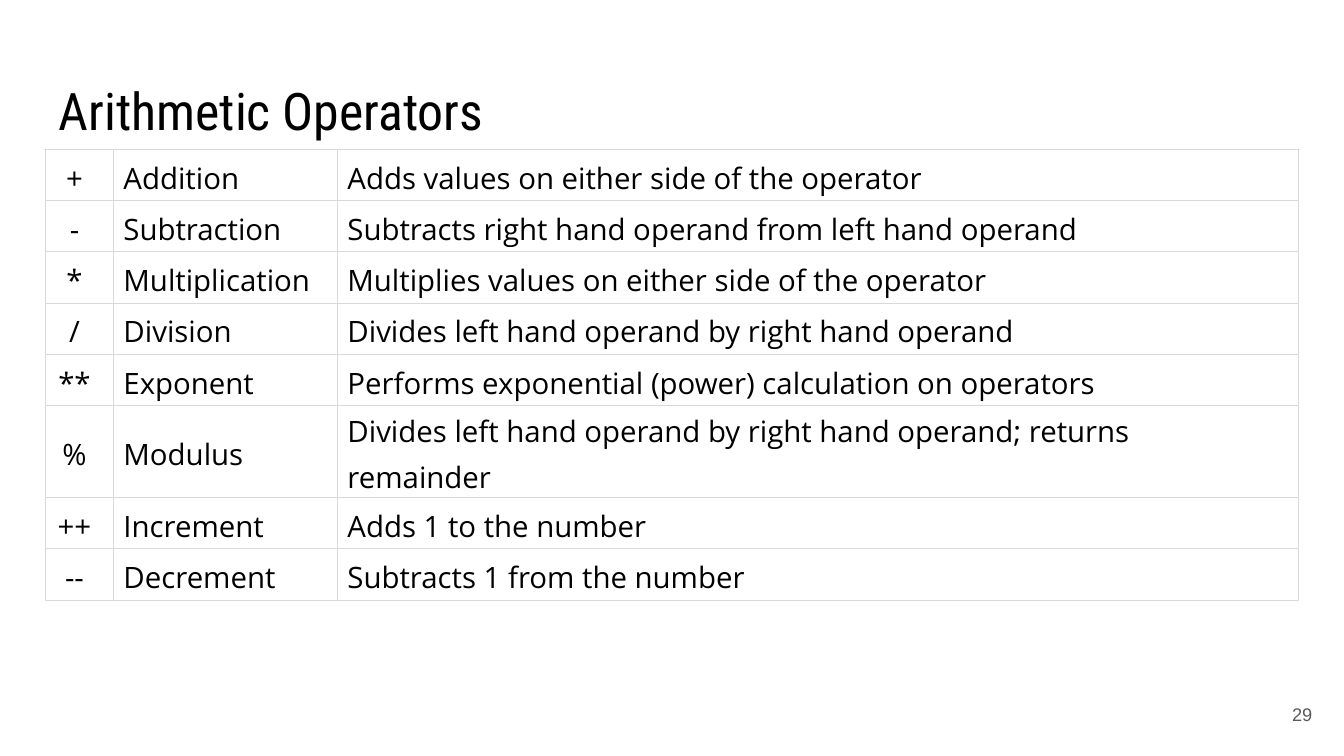
from dataclasses import dataclass
from lxml.etree import SubElement
from pptx import Presentation
from pptx.dml.color import RGBColor as RGB
from pptx.enum.text import MSO_ANCHOR as ANCHOR, PP_ALIGN as ALIGN
from pptx.oxml.ns import qn
from pptx.util import Pt

COLORS = {"text": "000000", "number": "595959", "border": "D9D9D9"}
FORMATS = {
    "title": {"name": "Roboto Condensed", "size": Pt(37)},
    "number": {"name": "Arial", "size": Pt(13)},
    "cell": {"name": "Open Sans", "size": Pt(21)},
}
CELL_LAYOUT = {
    "margin_left": Pt(7.2), "margin_right": Pt(14.4),
    "margin_top": Pt(0), "margin_bottom": Pt(0),
    "vertical_anchor": ANCHOR.MIDDLE,
}
CELL_SPACING = {"line_spacing": 1.15, "space_before": Pt(12)}
COLUMN_WIDTHS = (48.4, 160, 686.4)
ROW_HEIGHT, TALL_ROW_HEIGHT = 36.6, 65.8


@dataclass
class Operator:
    """One row of the operator table."""
    symbol: str
    name: str
    meaning: str
    height: float = ROW_HEIGHT


@dataclass
class Label:
    """A text box with its place in points."""
    text: str
    left: float
    top: float
    width: float
    height: float
    style: str
    color: str
    align: ALIGN
    anchor: ANCHOR


LABELS = [
    Label("Arithmetic Operators", 32.7, 46.8, 894, 60, "title", "text", ALIGN.LEFT, ANCHOR.TOP),
    Label("29", 889.2, 489.6, 57.6, 41, "number", "number", ALIGN.RIGHT, ANCHOR.MIDDLE),
]
OPERATORS = [
    Operator("+", "Addition", "Adds values on either side of the operator"),
    Operator("-", "Subtraction", "Subtracts right hand operand from left hand operand"),
    Operator("*", "Multiplication", "Multiplies values on either side of the operator"),
    Operator("/", "Division", "Divides left hand operand by right hand operand"),
    Operator("**", "Exponent", "Performs exponential (power) calculation on operators"),
    Operator("%", "Modulus", "Divides left hand operand by right hand operand; returns remainder",
             TALL_ROW_HEIGHT),
    Operator("++", "Increment", "Adds 1 to the number"),
    Operator("--", "Decrement", "Subtracts 1 from the number"),
]


def apply(target, values: dict) -> None:
    """Set each named attribute on the target."""
    for key, value in values.items():
        setattr(target, key, value)


def write(p, text: str, style: str, color: str, align: ALIGN) -> None:
    """Fill a paragraph with one formatted run."""
    p.alignment = align
    r = p.add_run()
    r.text = text
    apply(r.font, FORMATS[style])
    r.font.color.rgb = RGB.from_string(COLORS[color])


def add_label(s, label: Label) -> None:
    """Draw a text box."""
    sp = s.shapes.add_textbox(Pt(label.left), Pt(label.top), Pt(label.width), Pt(label.height))
    tf = sp.text_frame
    apply(tf, {"word_wrap": True, "vertical_anchor": label.anchor})
    apply(tf, {f"margin_{side}": Pt(9.4) for side in ("left", "top", "right", "bottom")})
    write(tf.paragraphs[0], label.text, label.style, label.color, label.align)


def add_borders(cell) -> None:
    """Give a cell a thin line on all four sides."""
    tc_pr = cell._tc.get_or_add_tcPr()
    for side in ("lnL", "lnR", "lnT", "lnB"):
        ln = SubElement(tc_pr, qn(f"a:{side}"), w=str(Pt(0.75)))
        fill = SubElement(ln, qn("a:solidFill"))
        SubElement(fill, qn("a:srgbClr"), val=COLORS["border"])


def add_operator_table(s, operators: list[Operator], left: float, top: float) -> None:
    """Draw the table of operators."""
    width, height = sum(COLUMN_WIDTHS), sum(op.height for op in operators)
    table = s.shapes.add_table(len(operators), len(COLUMN_WIDTHS),
                               Pt(left), Pt(top), Pt(width), Pt(height)).table
    apply(table, {"first_row": False, "horz_banding": False})
    for column, column_width in zip(table.columns, COLUMN_WIDTHS):
        column.width = Pt(column_width)
    for row, op in zip(table.rows, operators):
        row.height = Pt(op.height)
        for i, (cell, text) in enumerate(zip(row.cells, (op.symbol, op.name, op.meaning))):
            apply(cell, CELL_LAYOUT)
            add_borders(cell)
            cell.fill.background()
            p = cell.text_frame.paragraphs[0]
            apply(p, CELL_SPACING)
            write(p, text, "cell", "text", ALIGN.LEFT if i else ALIGN.CENTER)


def main() -> None:
    """Build and save the slide."""
    prs = Presentation()
    apply(prs, {"slide_width": Pt(960), "slide_height": Pt(540)})
    s = prs.slides.add_slide(prs.slide_layouts[6])
    for label in LABELS:
        add_label(s, label)
    add_operator_table(s, OPERATORS, 32.6, 106.6)
    prs.save("out.pptx")


if __name__ == "__main__":
    main()
